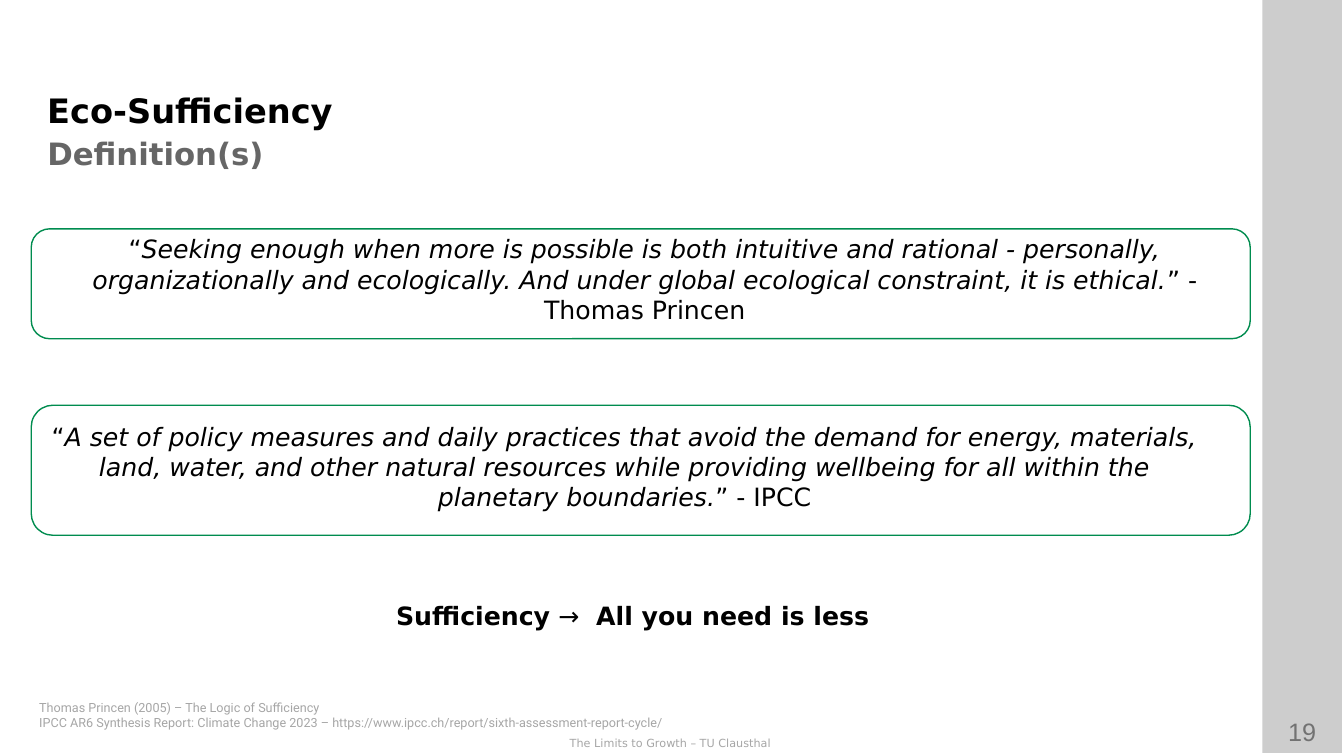
from dataclasses import dataclass

from lxml import etree
from pptx import Presentation
from pptx.dml.color import RGBColor
from pptx.enum.shapes import MSO_SHAPE
from pptx.enum.text import MSO_ANCHOR, PP_ALIGN
from pptx.oxml.ns import qn
from pptx.util import Inches, Pt

LEFT, CENTER = PP_ALIGN.LEFT, PP_ALIGN.CENTER
TOP, MIDDLE = MSO_ANCHOR.TOP, MSO_ANCHOR.MIDDLE
RECTANGLE, ROUNDED = MSO_SHAPE.RECTANGLE, MSO_SHAPE.ROUNDED_RECTANGLE


@dataclass(frozen=True)
class Style:
    font: str
    size: int
    color: str
    bold: bool = False


class Theme:
    title = Style("DejaVu Sans", 24, "000000", True)
    subtitle = Style("DejaVu Sans", 22, "666666", True)
    body = Style("DejaVu Sans", 18, "000000")
    source = Style("Roboto", 9, "A6A6A6")
    footer = Style("DejaVu Sans", 8, "A6A6A6")
    page = Style("Arial", 18, "808080")
    frame, frame_width = "008C4F", 1
    band, band_opacity = "000000", 10


# A run is (text, marks), where marks may hold "b" for bold and "i" for italic.
TITLE = [[("Eco-Sufficiency", "")]]
SUBTITLE = [[("Definition(s)", "")]]
PAGE = [[("19", "")]]
FOOTER = [[("The Limits to Growth – TU Clausthal", "")]]
SOURCES = [
    [("Thomas Princen (2005) – The Logic of Sufficiency", "")],
    [("IPCC AR6 Synthesis Report: Climate Change 2023 – "
      "https://www.ipcc.ch/report/sixth-assessment-report-cycle/", "")],
]
SLOGAN = [[("Sufficiency", "b"), (" → ", ""), (" All you need is less", "b")]]
# quote, author, text box, frame top, frame height
QUOTES = [
    ("Seeking enough when more is possible is both intuitive and rational - "
     "personally, organizationally and ecologically. And under global "
     "ecological constraint, it is ethical.",
     "Thomas Princen", (0.59, 2.27, 11.61, 0.97), 2.27, 1.09),
    ("A set of policy measures and daily practices that avoid the demand for "
     "energy, materials, land, water, and other natural resources while "
     "providing wellbeing for all within the planetary boundaries.",
     "IPCC", (0.39, 4.13, 11.61, 0.98), 4.02, 1.29),
]
FRAME_LEFT, FRAME_WIDTH = 0.31, 12.09
BAND_BOX = (12.52, 0, 0.79, 7.47)


def add_text(slide, box, paragraphs, style, align=LEFT, anchor=TOP,
             margins=(0.1, 0.05)):
    frame = slide.shapes.add_textbox(*map(Inches, box)).text_frame
    frame.word_wrap = True
    frame.vertical_anchor = anchor
    frame.margin_left = frame.margin_right = Inches(margins[0])
    frame.margin_top = frame.margin_bottom = Inches(margins[1])
    for index, runs in enumerate(paragraphs):
        paragraph = frame.add_paragraph() if index else frame.paragraphs[0]
        paragraph.alignment = align
        for text, marks in runs:
            run = paragraph.add_run()
            run.text = text
            font = run.font
            font.name, font.size = style.font, Pt(style.size)
            font.color.rgb = RGBColor.from_string(style.color)
            font.bold = style.bold or "b" in marks
            font.italic = "i" in marks


def add_side_band(slide):
    """Add one translucent layer of the band on the right edge."""
    band = slide.shapes.add_shape(RECTANGLE, *map(Inches, BAND_BOX))
    band.shadow.inherit = False
    band.line.fill.background()
    band.fill.solid()
    band.fill.fore_color.rgb = RGBColor.from_string(Theme.band)
    color = band.fill._xPr.find(".//" + qn("a:srgbClr"))
    etree.SubElement(color, qn("a:alpha"), val=str(Theme.band_opacity * 1000))


def add_quote_frame(slide, top, height):
    box = (FRAME_LEFT, top, FRAME_WIDTH, height)
    frame = slide.shapes.add_shape(ROUNDED, *map(Inches, box))
    frame.adjustments[0] = 0.167
    frame.shadow.inherit = False
    frame.fill.background()
    frame.line.color.rgb = RGBColor.from_string(Theme.frame)
    frame.line.width = Pt(Theme.frame_width)


def main():
    presentation = Presentation()
    presentation.slide_width = Inches(13.33)
    presentation.slide_height = Inches(7.5)
    slide = presentation.slides.add_slide(presentation.slide_layouts[6])

    add_side_band(slide)
    add_text(slide, (12.51, 7.06, 0.81, 0.4), PAGE, Theme.page, CENTER)
    add_side_band(slide)
    add_text(slide, (0, 7.26, 13.3, 0.23), FOOTER, Theme.footer, CENTER)

    add_text(slide, (0.37, 0.84, 11.73, 0.53), TITLE, Theme.title)
    add_text(slide, (0.47, 1.26, 11.3, 0.52), SUBTITLE, Theme.subtitle,
             anchor=MIDDLE, margins=(0, 0))
    add_text(slide, (0.29, 6.89, 12.11, 0.4), SOURCES, Theme.source)

    for quote, author, text_box, top, height in QUOTES:
        add_quote_frame(slide, top, height)
        runs = [("“", ""), (quote, "i"), (f"” - {author}", "")]
        add_text(slide, text_box, [runs], Theme.body, CENTER)
    add_text(slide, (3.83, 5.91, 5.42, 0.68), SLOGAN, Theme.body)

    presentation.save("out.pptx")


if __name__ == "__main__":
    main()
